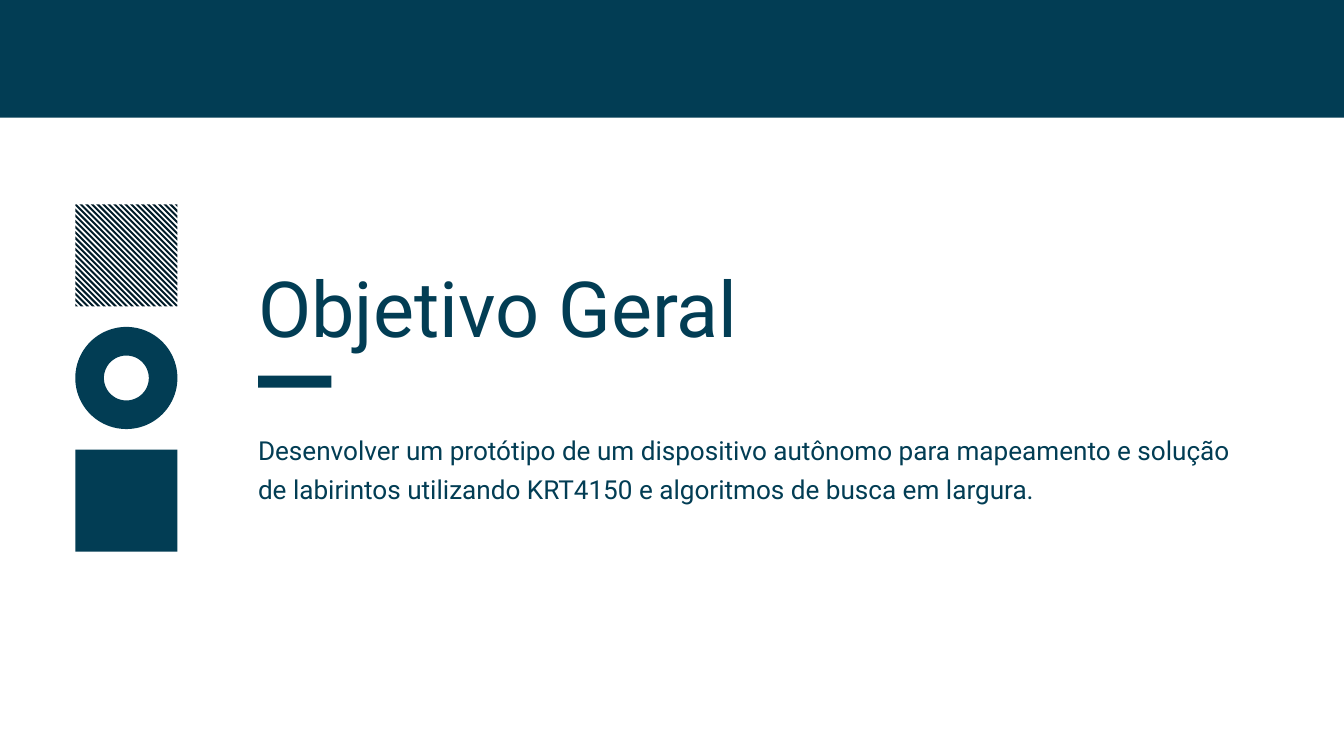
from dataclasses import dataclass

from pptx import Presentation
from pptx.dml.color import RGBColor
from pptx.enum.shapes import MSO_SHAPE
from pptx.enum.text import MSO_AUTO_SIZE
from pptx.shapes.autoshape import Shape
from pptx.slide import Slide
from pptx.util import Inches, Pt

RECTANGLE = MSO_SHAPE.RECTANGLE
DONUT = MSO_SHAPE.DONUT
FIT_SHAPE = MSO_AUTO_SIZE.SHAPE_TO_FIT_TEXT

COLUMNS, ROWS = 20, 11.25
CELL = Inches(1)
NAVY, HATCH_COLOR = "023D54", "001B28"
FONT = "Roboto"

ICON_SIZE = 1.52
ICON_LEFT, ICON_TOP, ICON_STEP = 1.12, 3.04, 3.65 / 2
RING_SHARE = 0.28
STRIPES_PER_SIDE = 18
STRIPE_PITCH = ICON_SIZE / (STRIPES_PER_SIDE + 0.25)
TEXT_LEFT, TEXT_WIDTH = 3.84, 14.83


@dataclass(frozen=True)
class Box:
    column: float
    row: float
    columns: float
    rows: float

    def lengths(self) -> list[int]:
        return [round(value * CELL) for value in (self.column, self.row, self.columns, self.rows)]


def color(value: str) -> RGBColor:
    return RGBColor.from_string(value)


def paint(shape: Shape, fill: str) -> None:
    shape.shadow.inherit = False
    shape.fill.solid()
    shape.fill.fore_color.rgb = color(fill)
    shape.line.fill.background()


def add_block(slide: Slide, box: Box, kind: MSO_SHAPE = RECTANGLE) -> Shape:
    shape = slide.shapes.add_shape(kind, *box.lengths())
    paint(shape, NAVY)
    return shape


def add_text(slide: Slide, text: str, box: Box, *, size: float, line_height: float) -> None:
    frame = slide.shapes.add_textbox(*box.lengths()).text_frame
    frame.margin_left = frame.margin_right = frame.margin_top = frame.margin_bottom = 0
    frame.word_wrap = True
    frame.auto_size = FIT_SHAPE
    paragraph = frame.paragraphs[0]
    paragraph.line_spacing = Pt(line_height)
    run = paragraph.add_run()
    run.text = text
    run.font.name = FONT
    run.font.size = Pt(size)
    run.font.color.rgb = color(NAVY)


def stripe_outline(index: int, side: float) -> list[tuple[float, float]]:
    low = (index - 0.25) * STRIPE_PITCH
    high = (index + 0.25) * STRIPE_PITCH
    starts = [(max(edge, 0), max(-edge, 0)) for edge in (low, high)]
    ends = [(side + min(edge, 0), side - max(edge, 0)) for edge in (high, low)]
    if index == 0:
        return [starts[0], (0, 0), starts[1], ends[0], (side, side), ends[1]]
    return starts + ends


def add_hatched_square(slide: Slide, box: Box) -> None:
    builder = slide.shapes.build_freeform()
    for index in range(-STRIPES_PER_SIDE, STRIPES_PER_SIDE + 1):
        outline = stripe_outline(index, box.columns)
        points = [(round(x * CELL), round(y * CELL)) for x, y in outline]
        builder.move_to(*points[0])
        builder.add_line_segments(points[1:], close=True)
    left, top, _, _ = box.lengths()
    paint(builder.convert_to_shape(left, top), HATCH_COLOR)


def main() -> None:
    presentation = Presentation()
    presentation.slide_width = round(COLUMNS * CELL)
    presentation.slide_height = round(ROWS * CELL)
    slide = presentation.slides.add_slide(presentation.slide_layouts[6])

    add_block(slide, Box(0, 0, COLUMNS, 1.75))

    hatch_box, ring_box, square_box = [
        Box(ICON_LEFT, ICON_TOP + position * ICON_STEP, ICON_SIZE, ICON_SIZE)
        for position in range(3)
    ]
    add_hatched_square(slide, hatch_box)
    add_block(slide, square_box)
    ring = add_block(slide, ring_box, DONUT)
    ring.adjustments[0] = RING_SHARE

    add_text(slide, "Objetivo Geral", Box(TEXT_LEFT, 3.76, TEXT_WIDTH, 1.44),
             size=82.9, line_height=107.8)
    add_text(
        slide,
        "Desenvolver um protótipo de um dispositivo autônomo para mapeamento e solução "
        "de labirintos utilizando KRT4150 e algoritmos de busca em largura.",
        Box(TEXT_LEFT, 6.34, TEXT_WIDTH, 1.09),
        size=28,
        line_height=42,
    )
    add_block(slide, Box(TEXT_LEFT, 5.59, 1.09, 0.18))

    presentation.save("out.pptx")


if __name__ == "__main__":
    main()
